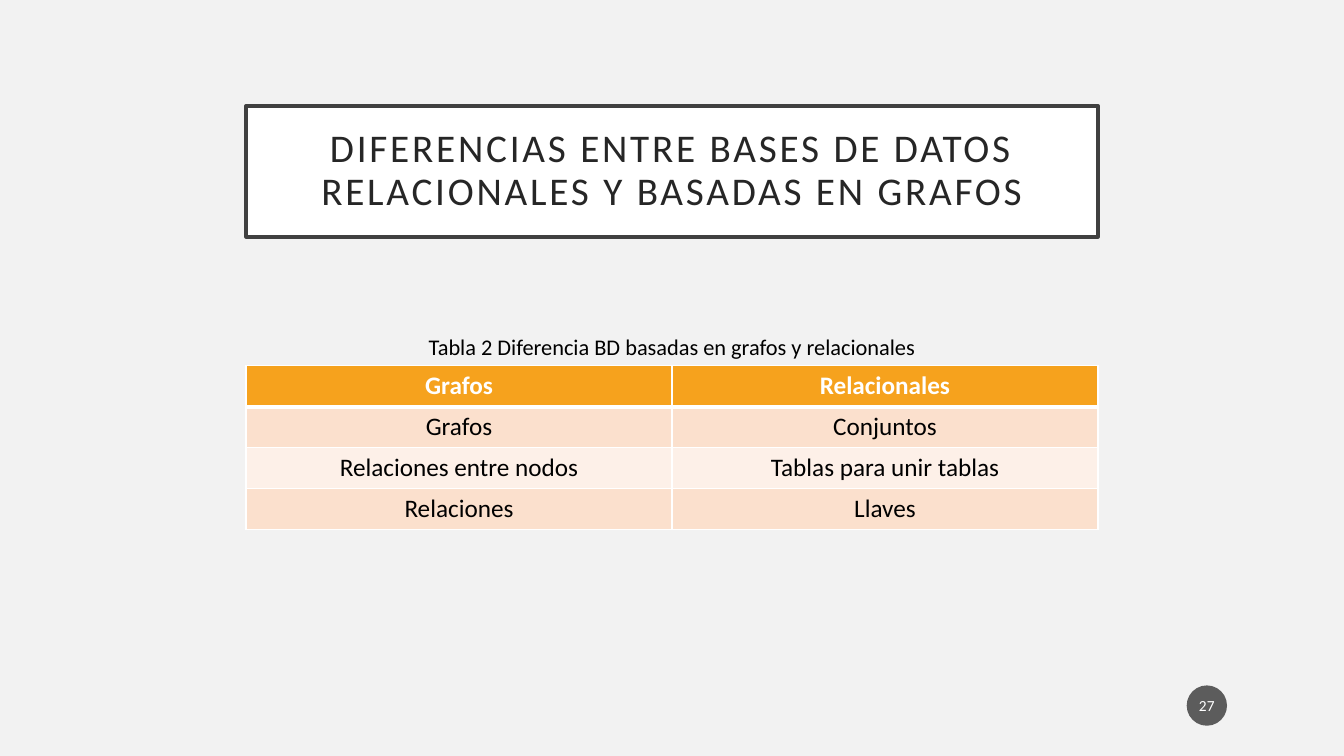
from lxml.etree import SubElement
from pptx import Presentation
from pptx.dml.color import RGBColor
from pptx.enum.shapes import MSO_SHAPE
from pptx.enum.text import MSO_ANCHOR, PP_ALIGN
from pptx.oxml import parse_xml
from pptx.oxml.ns import nsdecls, qn
from pptx.util import Inches, Pt

FONT = "Calibri"
COLORS = {
    "background": "F2F2F2",
    "white": "FFFFFF",
    "black": "000000",
    "title": "262626",
    "frame": "404040",
    "header": "F6A21D",
    "band_dark": "FBE0CD",
    "band_light": "FDF0E8",
    "badge": "1D1D1D",
}
ROWS = [
    ("Grafos", "Relacionales"),
    ("Grafos", "Conjuntos"),
    ("Relaciones entre nodos", "Tablas para unir tablas"),
    ("Relaciones", "Llaves"),
]


def color(name):
    """Return the named colour."""
    return RGBColor.from_string(COLORS[name])


def write(tf, text, size, name, bold=False):
    """Write one centred run and return it."""
    p = tf.paragraphs[0]
    p.alignment = PP_ALIGN.CENTER
    r = p.add_run()
    r.text = text
    r.font.name, r.font.size, r.font.bold = FONT, Pt(size), bold
    r.font.color.rgb = color(name)
    return r


def set_margins(tf, x, y):
    """Set the horizontal and vertical text margins."""
    tf.margin_left = tf.margin_right = Inches(x)
    tf.margin_top = tf.margin_bottom = Inches(y)


def add_title(s, x, y, w, h):
    """Place the framed title."""
    sp = s.shapes.title
    sp.left, sp.top, sp.width, sp.height = map(Inches, (x, y, w, h))
    sp.fill.solid()
    sp.fill.fore_color.rgb = color("white")
    sp.line.color.rgb = color("frame")
    sp.line.width = Pt(2.5)
    tf = sp.text_frame
    tf.word_wrap = True
    tf.vertical_anchor = MSO_ANCHOR.MIDDLE
    set_margins(tf, 0.2, 0.2)
    r = write(tf, "DIFERENCIAS ENTRE BASES DE DATOS RELACIONALES Y BASADAS EN GRAFOS", 28, "title")
    r.font._element.set("spc", "200")
    tf.paragraphs[0].line_spacing = 0.9


def add_caption(s, x, y, w, h):
    """Place the table caption."""
    tf = s.shapes.add_textbox(*map(Inches, (x, y, w, h))).text_frame
    tf.word_wrap = True
    write(tf, "Tabla 2 Diferencia BD basadas en grafos y relacionales", 16, "black")


def set_borders(cell, top, bottom):
    """Draw white borders around a cell, with widths in points."""
    tcPr = cell._tc.get_or_add_tcPr()
    for i, (side, width) in enumerate((("L", 1), ("R", 1), ("T", top), ("B", bottom))):
        tcPr.insert(i, parse_xml(
            f'<a:ln{side} {nsdecls("a")} w="{Pt(width)}"><a:solidFill>'
            f'<a:srgbClr val="{COLORS["white"]}"/></a:solidFill></a:ln{side}>'))


def add_comparison(s, x, y, w, h):
    """Place the comparison table."""
    table = s.shapes.add_table(len(ROWS), len(ROWS[0]), *map(Inches, (x, y, w, h))).table
    for i, row in enumerate(ROWS):
        fill = "header" if i == 0 else "band_dark" if i % 2 else "band_light"
        for j, text in enumerate(row):
            cell = table.cell(i, j)
            cell.fill.solid()
            cell.fill.fore_color.rgb = color(fill)
            set_borders(cell, 3 if i == 1 else 1, 3 if i == 0 else 1)
            write(cell.text_frame, text, 18, "black" if i else "white", i == 0)


def add_page_number(s, x, y, d):
    """Place the page number in a translucent circle."""
    sp = s.shapes.add_shape(MSO_SHAPE.OVAL, *map(Inches, (x, y, d, d)))
    sp.shadow.inherit = False
    sp.fill.solid()
    sp.fill.fore_color.rgb = color("badge")
    fill = sp._element.spPr.find(qn("a:solidFill"))
    SubElement(fill[0], qn("a:alpha")).set("val", "70000")
    sp.line.fill.background()
    tf = sp.text_frame
    tf.word_wrap = True
    tf.vertical_anchor = MSO_ANCHOR.MIDDLE
    set_margins(tf, 0.02, 0.05)
    write(tf, "27", 11, "white")


def main():
    """Build and save the slide."""
    prs = Presentation()
    prs.slide_width, prs.slide_height = Inches(13.33), Inches(7.5)
    s = prs.slides.add_slide(prs.slide_layouts[5])
    s.background.fill.solid()
    s.background.fill.fore_color.rgb = color("background")
    add_title(s, 2.44, 1.05, 8.45, 1.3)
    add_comparison(s, 2.44, 3.63, 8.45, 1.62)
    add_page_number(s, 11.77, 6.8, 0.4)
    add_caption(s, 3.92, 3.26, 5.49, 0.37)
    prs.save("out.pptx")


if __name__ == "__main__":
    main()
